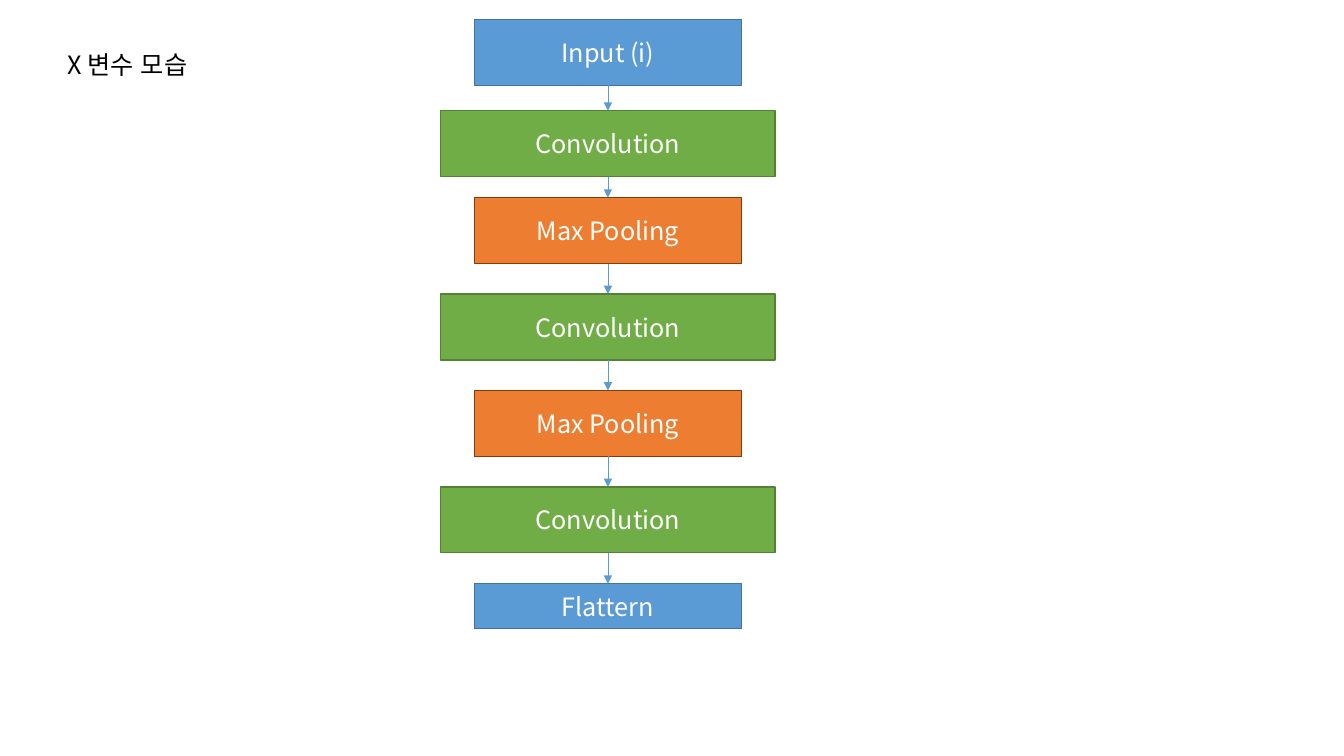
from lxml import etree
from pptx import Presentation
from pptx.dml.color import RGBColor
from pptx.enum.lang import MSO_LANGUAGE_ID
from pptx.enum.shapes import MSO_CONNECTOR, MSO_SHAPE
from pptx.enum.text import MSO_ANCHOR, MSO_AUTO_SIZE, PP_ALIGN
from pptx.oxml.ns import qn
from pptx.util import Cm, Pt

FONT = "Noto Sans CJK KR"
CENTER = 15.32
BLUE = ("5B9BD5", "43739E", 6.73)
GREEN = ("70AD47", "548235", 8.43)
ORANGE = ("ED7D31", "843C0B", 6.73)


def rgb(value):
    return RGBColor.from_string(value)


def add_run(p, text, color):
    r = p.add_run()
    r.text = text
    r.font.size = Pt(18)
    r.font.name = FONT
    r.font.language_id = MSO_LANGUAGE_ID.KOREAN
    r.font.color.rgb = rgb(color)
    etree.SubElement(r.font._element, qn("a:ea"), typeface=FONT)


prs = Presentation()
prs.slide_width, prs.slide_height = Cm(33.87), Cm(19.05)
s = prs.slides.add_slide(prs.slide_layouts[6])

# Layers: label, style (fill, line, width), top, height
layers = [
    ("Input (i)", BLUE, 0.49, 1.66),
    ("Convolution", GREEN, 2.79, 1.66),
    ("Max Pooling", ORANGE, 4.98, 1.66),
    ("Convolution", GREEN, 7.41, 1.66),
    ("Max Pooling", ORANGE, 9.84, 1.66),
    ("Convolution", GREEN, 12.27, 1.66),
    ("Flattern", BLUE, 14.71, 1.13),
]
boxes = []
for label, (fill, line, width), top, height in layers:
    sp = s.shapes.add_shape(MSO_SHAPE.RECTANGLE, Cm(CENTER - width / 2), Cm(top),
                            Cm(width), Cm(height))
    sp.shadow.inherit = False
    sp.fill.solid()
    sp.fill.fore_color.rgb = rgb(fill)
    sp.line.color.rgb = rgb(line)
    sp.line.width = Pt(1)
    tf = sp.text_frame
    tf.vertical_anchor = MSO_ANCHOR.MIDDLE
    p = tf.paragraphs[0]
    p.alignment = PP_ALIGN.CENTER
    add_run(p, label, "FFFFFF")
    boxes.append(sp)

# Arrows from each layer to the next
for upper, lower in zip(boxes, boxes[1:]):
    arrow = s.shapes.add_connector(MSO_CONNECTOR.STRAIGHT, 0, 0, 0, 0)
    arrow.begin_connect(upper, 2)
    arrow.end_connect(lower, 0)
    arrow.line.color.rgb = rgb("5B9BD5")
    arrow.line.width = Pt(0.5)
    spPr = arrow._element.spPr
    etree.SubElement(spPr.find(qn("a:ln")), qn("a:tailEnd"), type="triangle")
    etree.SubElement(spPr, qn("a:effectLst"))

# Title
tb = s.shapes.add_textbox(Cm(1.45), Cm(1.12), Cm(3.91), Cm(1.02))
tf = tb.text_frame
tf.word_wrap = False
tf.auto_size = MSO_AUTO_SIZE.SHAPE_TO_FIT_TEXT
add_run(tf.paragraphs[0], "X 변수 모습", "000000")

prs.save("out.pptx")
